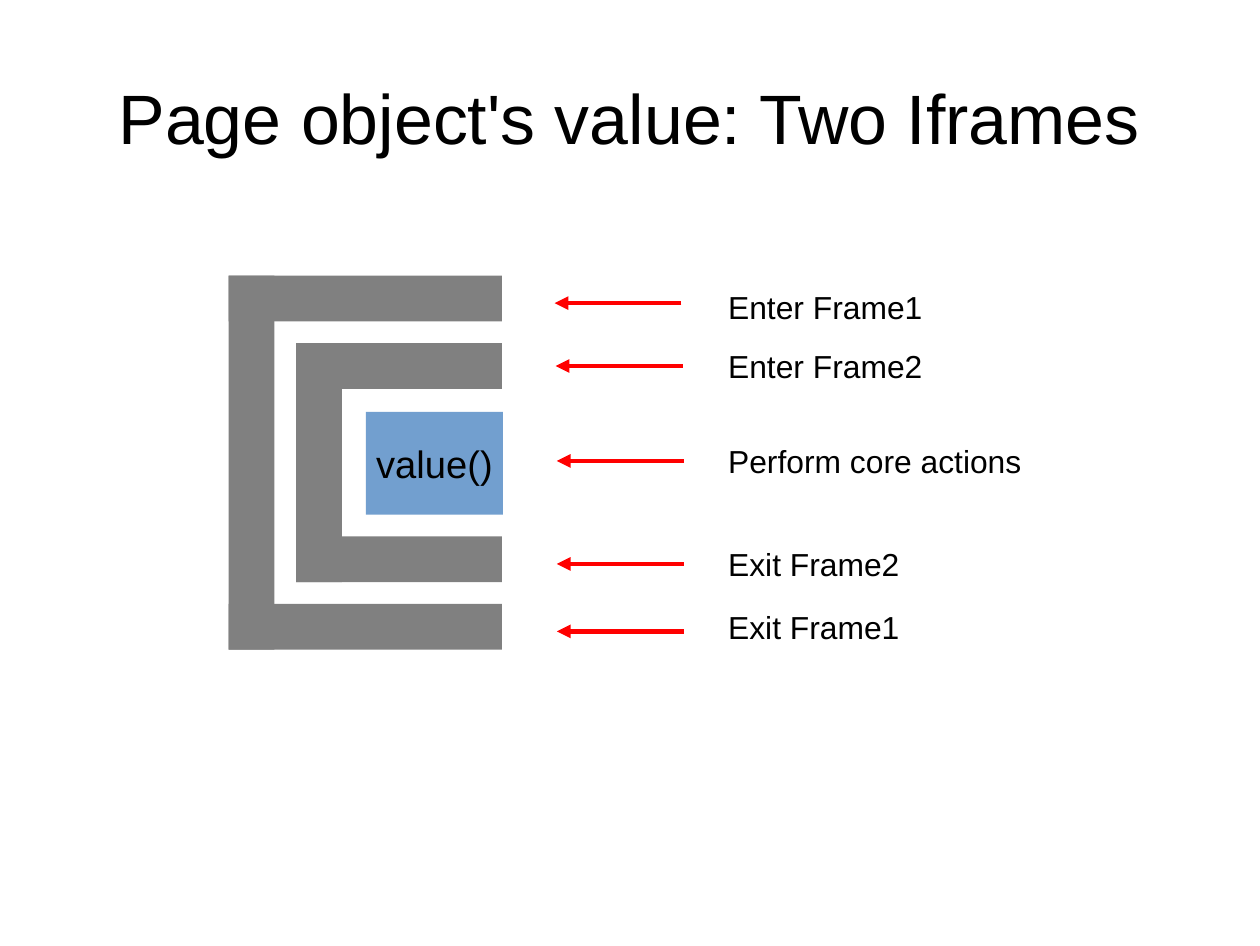
from dataclasses import dataclass

import pptx
import pptx.dml.color
import pptx.enum.shapes
import pptx.enum.text
import pptx.oxml
import pptx.oxml.ns
import pptx.util
from pptx.util import Inches

RGB = pptx.dml.color.RGBColor
ALIGN = pptx.enum.text.PP_ALIGN
ANCHOR = pptx.enum.text.MSO_ANCHOR
NS = pptx.oxml.ns.nsdecls("a")


@dataclass(frozen=True)
class Theme:
    font: str = "Arial"
    text: RGB = RGB(0, 0, 0)
    frame: RGB = RGB(0x80, 0x80, 0x80)
    core: RGB = RGB(0x72, 0x9F, 0xCF)
    arrow: RGB = RGB(0xFF, 0, 0)
    title_size: int = 44
    core_size: int = 24
    label_size: int = 20
    arrow_width: float = 2.89


theme = Theme()


def add_text(tf, text, size, align, anchor, margins=(0.1, 0.05), wrap=True):
    tf.auto_size = pptx.enum.text.MSO_AUTO_SIZE.NONE
    tf.word_wrap = wrap
    tf.vertical_anchor = anchor
    tf.margin_left = tf.margin_right = Inches(margins[0])
    tf.margin_top = tf.margin_bottom = Inches(margins[1])
    p = tf.paragraphs[0]
    p.alignment = align
    r = p.add_run()
    r.text = text
    r.font.name = theme.font
    r.font.size = pptx.util.Pt(size)
    r.font.color.rgb = theme.text


def add_block(s, left, top, width, height, color):
    sp = s.shapes.add_shape(
        pptx.enum.shapes.MSO_SHAPE.RECTANGLE,
        Inches(left), Inches(top), Inches(width), Inches(height))
    sp.shadow.inherit = False
    sp.fill.solid()
    sp.fill.fore_color.rgb = color
    sp.line.fill.background()
    return sp


prs = pptx.Presentation()
prs.slide_width, prs.slide_height = Inches(11.02), Inches(8.27)
s = prs.slides.add_slide(prs.slide_layouts[5])

title = s.shapes.title
title.left, title.top = Inches(0.55), Inches(0.33)
title.width, title.height = Inches(9.92), Inches(1.38)
add_text(title.text_frame, "Page object's value: Two Iframes",
         theme.title_size, ALIGN.CENTER, ANCHOR.MIDDLE, margins=(0, 0))

core = add_block(s, 3.2, 3.6, 1.2, 0.9, theme.core)
add_text(core.text_frame, "value()", theme.core_size,
         ALIGN.CENTER, ANCHOR.MIDDLE, wrap=False)

# Each frame is a bracket, open on the right: two arms and a spine
bar = 0.4
frame_right = 4.39
for left, top, bottom in [(2.59, 3.0, 5.09), (2.0, 2.41, 5.68)]:
    for arm_top in (top, bottom - bar):
        add_block(s, left, arm_top, frame_right - left, bar, theme.frame)
    add_block(s, left, top, bar, bottom - top, theme.frame)

# Text, label top, label width, arrow start, arrow height
steps = [
    ("Enter Frame1", 2.47, 1.9, 5.96, 2.65),
    ("Enter Frame2", 2.98, 1.9, 5.97, 3.2),
    ("Perform core actions", 3.81, 2.77, 5.98, 4.03),
    ("Exit Frame2", 4.71, 1.7, 5.98, 4.93),
    ("Exit Frame1", 5.26, 1.7, 5.98, 5.52),
]
arrow_length = 1.11
for text, top, width, start, y in steps:
    label = s.shapes.add_textbox(
        Inches(6.27), Inches(top), Inches(width), Inches(0.41))
    add_text(label.text_frame, text, theme.label_size, ALIGN.LEFT, ANCHOR.TOP)

    arrow = s.shapes.add_connector(
        pptx.enum.shapes.MSO_CONNECTOR.STRAIGHT,
        Inches(start), Inches(y), Inches(start - arrow_length), Inches(y))
    arrow.line.color.rgb = theme.arrow
    arrow.line.width = pptx.util.Pt(theme.arrow_width)
    arrow.line._get_or_add_ln().append(
        pptx.oxml.parse_xml(f'<a:tailEnd {NS} type="triangle"/>'))
    arrow._element.spPr.append(pptx.oxml.parse_xml(f"<a:effectLst {NS}/>"))

prs.save("out.pptx")
